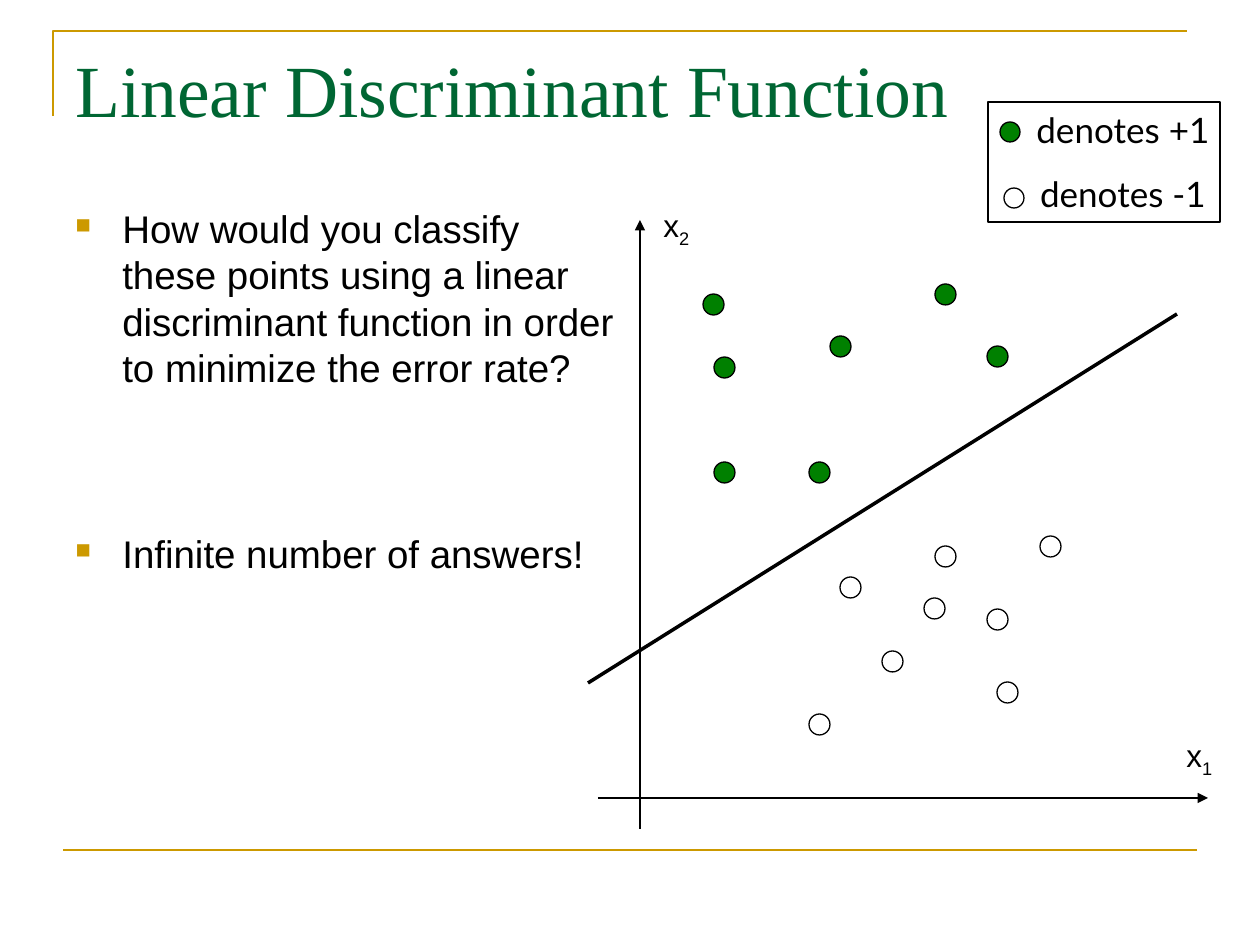
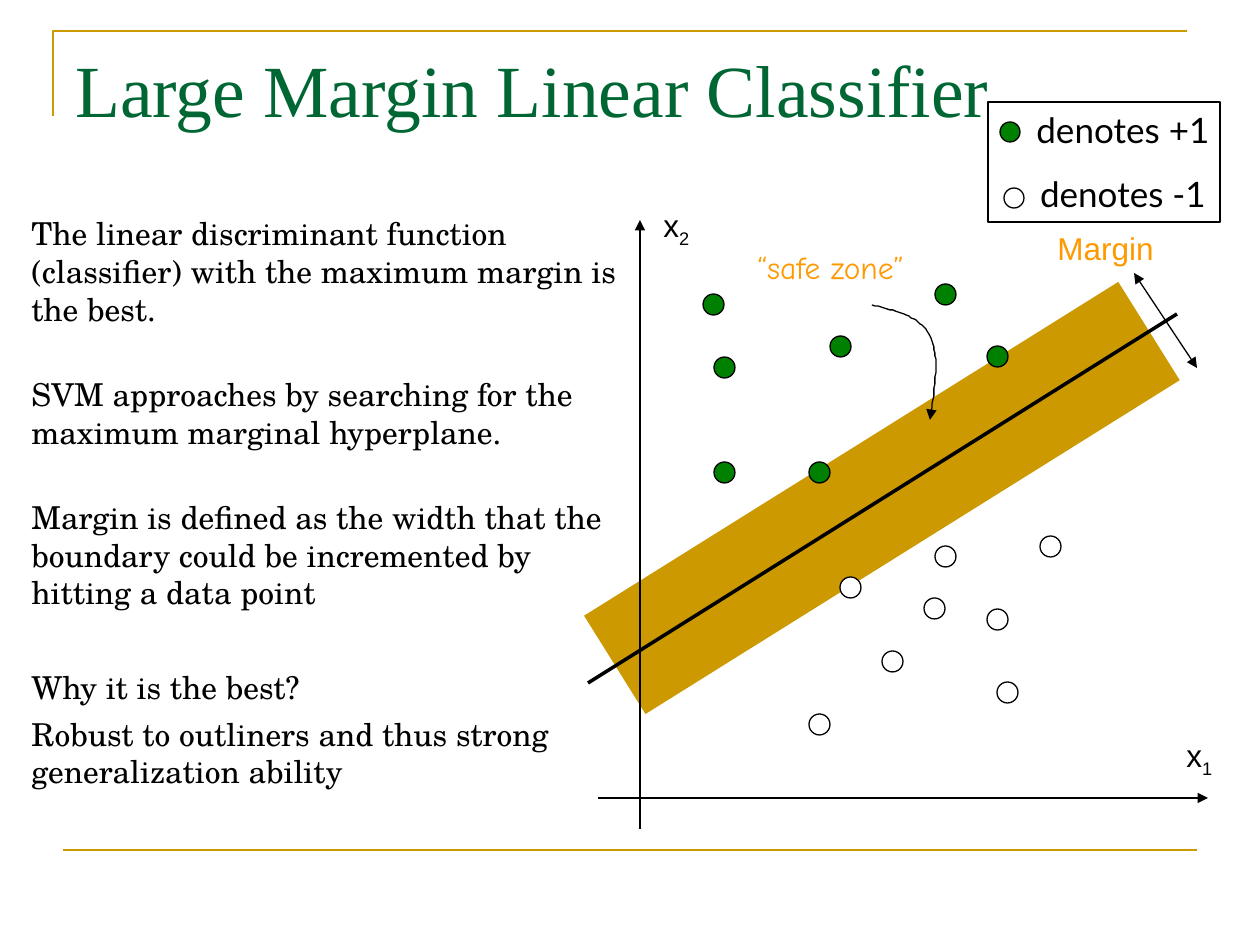
from lxml import etree
from pptx import Presentation, util as u
from pptx.dml.color import RGBColor
from pptx.enum import shapes as sh, text as tx
from pptx.oxml.ns import qn

SCALE = 914400 / 126  # EMU in one px
COLORS = {"gold": "CC9900", "title": "006633", "plus": "008000",
          "minus": "FFFFFF", "ink": "000000", "note": "FF9900"}

PLOT = (580, 200)
LEGEND = (988, 102, 232, 120)
DOT = 21
PLUS = [(123, 94), (134, 157), (250, 136), (134, 262), (229, 262),
        (355, 84), (407, 146)]
MINUS = [(260, 377), (355, 346), (344, 398), (407, 409), (460, 336),
         (302, 451), (229, 514), (417, 482)]
# Two cubic curves joined at the fourth point
POINTER = [(292, 105), (316, 111), (340, 116), (350, 136),
           (360, 155), (355, 188), (350, 220)]
# Each paragraph with its space before in points
REASONS = [
    ("The linear discriminant function (classifier) with the maximum "
     "margin is the best.", 0),
    ("SVM approaches by searching for the maximum marginal hyperplane.", 27),
    ("Margin is defined as the width that the boundary could be "
     "incremented by hitting a data point", 27),
    ("Why it is the best?", 32.5),
    ("Robust to outliners and thus strong generalization ability", 5)]


def px(n):
    return u.Emu(round(n * SCALE))


def rgb(name):
    return RGBColor.from_string(COLORS[name])


def stroke(line, color, width, ends=()):
    line.color.rgb = rgb(color)
    line.width = u.Pt(width)
    for end in ends:  # headEnd comes before tailEnd
        etree.SubElement(line._get_or_add_ln(), qn("a:" + end), type="triangle")


def link(slide, start, stop, color="ink", width=1.0, ends=()):
    line = slide.shapes.add_connector(
        sh.MSO_CONNECTOR.STRAIGHT, *map(px, (*start, *stop)))
    stroke(line.line, color, width, ends)
    etree.SubElement(line._element.spPr, qn("a:effectLst"))


def shape(slide, kind, box, fill=None, edge=None):
    item = slide.shapes.add_shape(kind, *map(px, box))
    item.shadow.inherit = False
    if fill:
        item.fill.solid()
        item.fill.fore_color.rgb = rgb(fill)
    else:
        item.fill.background()
    if edge:
        stroke(item.line, edge, 0.75)
    else:
        item.line.fill.background()
    return item


def dot(slide, left, top, fill, size=DOT):
    shape(slide, sh.MSO_SHAPE.OVAL, (left, top, size, size), fill, "ink")


def path(slide, points, color, width, ends=()):
    form = slide.shapes.build_freeform(*points[0], scale=SCALE)
    form.add_line_segments(points[1:], close=False)
    item = form.convert_to_shape()
    item.shadow.inherit = False
    item.fill.background()
    stroke(item.line, color, width, ends)


def style(run, size, font, color):
    run.font.size = u.Pt(size)
    run.font.name = font
    run.font.color.rgb = rgb(color)


def write(slide, box, paras, size, font="Arial", color="ink", align=None):
    """Write (text, space before) pairs in a box."""
    frame = slide.shapes.add_textbox(*map(px, box)).text_frame
    frame.word_wrap = True
    for i, (words, gap) in enumerate(paras):
        para = frame.add_paragraph() if i else frame.paragraphs[0]
        para.text = words
        para.alignment = align
        if gap:
            para.space_before = u.Pt(gap)
        style(para.runs[0], size, font, color)
    return frame


def bullet(slide, box, words):
    para = write(slide, box, [(words, 0)], 22).paragraphs[0]
    props = para._p.get_or_add_pPr()
    props.set("marL", str(px(47)))
    props.set("indent", str(px(-47)))
    tint = etree.SubElement(props, qn("a:buClr"))
    etree.SubElement(tint, qn("a:srgbClr"), val=COLORS["gold"])
    etree.SubElement(props, qn("a:buSzPct"), val="55000")
    etree.SubElement(props, qn("a:buChar"), char="■")


def label(slide, box, words, sub=None, font="Arial", color="ink"):
    frame = write(slide, box, [(words, 0)], 18, font, color)
    if sub:
        run = frame.paragraphs[0].add_run()
        run.text = sub
        style(run, 18, font, color)
        run.font._element.set("baseline", "-25000")


def base(deck, title):
    """Start a slide with its gold rules and title."""
    slide = deck.slides.add_slide(deck.slide_layouts[6])
    path(slide, [(53, 116), (53, 31), (1187, 31)], "gold", 1.5)
    link(slide, (63, 850), (1197, 850), "gold", 1.5)
    write(slide, (63, 38, 1134, 157), [(title, 0)], 42, "Times New Roman",
          "title")
    return slide


def legend(slide, box):
    x, y, w, h = box
    write(slide, (x + 4, y, w + 30, h - 2),
          [("denotes +1", 0), ("denotes -1", 12.5)], 20, "Lato",
          align=tx.PP_ALIGN.CENTER)
    dot(slide, x + 16, y + 86, "minus", 20)
    dot(slide, x + 12, y + 20, "plus", 20)
    shape(slide, sh.MSO_SHAPE.RECTANGLE, box, edge="ink")


def plot(slide, spot):
    """Draw the axes, the points and the separating line."""
    x, y = spot
    link(slide, (x + 18, y + 598), (x + 628, y + 598), ends=["tailEnd"])
    link(slide, (x + 60, y + 629), (x + 60, y + 20), ends=["tailEnd"])
    for fill, spots in (("minus", MINUS), ("plus", PLUS)):
        for dx, dy in spots:
            dot(slide, x + dx, y + dy, fill)
    link(slide, (x + 8, y + 483), (x + 597, y + 114), width=2)
    label(slide, (x + 594, y + 530, 65, 55), "x", "1")
    label(slide, (x + 71, y, 65, 55), "x", "2")


def band(slide, spot):
    x, y = spot
    zone = shape(slide, sh.MSO_SHAPE.RECTANGLE,
                 (x - 13, y + 240, 630, 116), "gold")
    zone.rotation = 328


def cubic(a, b, c, d, steps=24):
    for i in range(1, steps + 1):
        t = i / steps
        s = 1 - t
        yield tuple(s**3 * p + 3 * s * s * t * q + 3 * s * t * t * r + t**3 * v
                    for p, q, r, v in zip(a, b, c, d))


def notes(slide, spot):
    """Point out the safe zone and the margin."""
    x, y = spot
    curve = [POINTER[0], *cubic(*POINTER[:4]), *cubic(*POINTER[3:])]
    path(slide, [(x + dx, y + dy) for dx, dy in curve], "ink", 0.75,
         ["tailEnd"])
    label(slide, (x + 165, y + 42, 185, 50), "“safe zone”",
          font="Comic Neue", color="note")
    link(slide, (x + 554, y + 73), (x + 617, y + 168), width=0.75,
         ends=["headEnd", "tailEnd"])
    label(slide, (x + 465, y + 23, 135, 50), "Margin", color="note")


def linear(deck):
    slide = base(deck, "Linear Discriminant Function")
    bullet(slide, (63, 199, 570, 222),
           "How would you classify these points using a linear discriminant "
           "function in order to minimize the error rate?")
    bullet(slide, (63, 524, 536, 74), "Infinite number of answers!")
    plot(slide, PLOT)
    legend(slide, LEGEND)


def margin(deck):
    slide = base(deck, "Large Margin Linear Classifier")
    band(slide, PLOT)
    plot(slide, PLOT)
    notes(slide, PLOT)
    legend(slide, LEGEND)
    write(slide, (19, 208, 621, 587), REASONS, 18, "TeX Gyre Schola")


def main():
    deck = Presentation()
    deck.slide_width, deck.slide_height = px(1260), px(945)
    linear(deck)
    margin(deck)
    deck.save("out.pptx")


if __name__ == "__main__":
    main()
